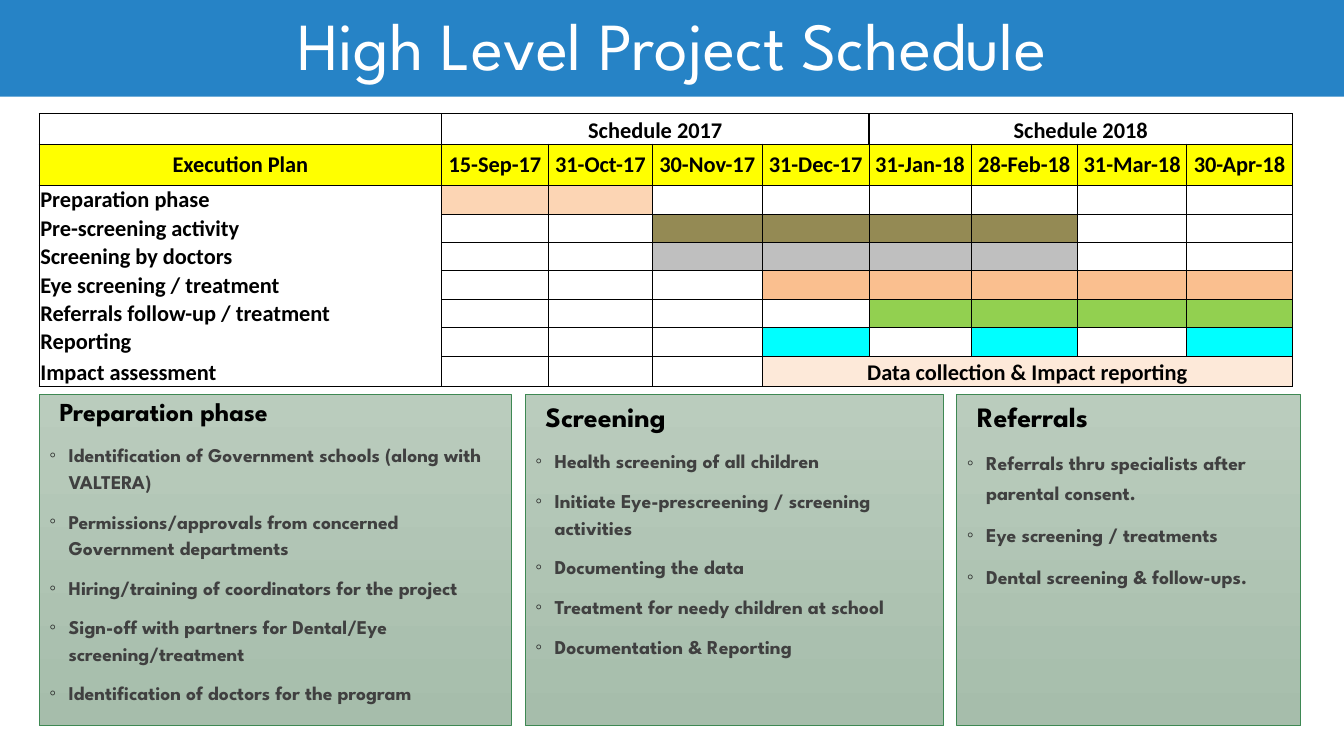
import pptx
import pptx.util
import pptx.dml.color
import pptx.enum.text
import pptx.oxml.ns
from lxml import etree

Inches = pptx.util.Inches
Pt = pptx.util.Pt
Align = pptx.enum.text.PP_ALIGN
Anchor = pptx.enum.text.MSO_ANCHOR
no_autofit = pptx.enum.text.MSO_AUTO_SIZE.NONE
qn = pptx.oxml.ns.qn


def color(value):
    return pptx.dml.color.RGBColor.from_string(value)


def write(paragraph, text, font_format, color_value, paragraph_format):
    for name, value in paragraph_format.items():
        setattr(paragraph, name, value)
    run = paragraph.add_run()
    run.text = text
    for name, value in font_format.items():
        setattr(run.font, name, value)
    run.font.color.rgb = color(color_value)


presentation = pptx.Presentation()
presentation.slide_width = Inches(13.33)
presentation.slide_height = Inches(7.5)
slide = presentation.slides.add_slide(presentation.slide_layouts[4])

title, *bodies = slide.placeholders
spare = bodies.pop()
spare.element.getparent().remove(spare.element)

title_box = {"left": 0, "top": 0, "width": Inches(13.33), "height": Inches(0.96)}
for name, value in title_box.items():
    setattr(title, name, value)
title.fill.solid()
title.fill.fore_color.rgb = color("2683C6")
title.text_frame.auto_size = no_autofit
title.text_frame.vertical_anchor = Anchor.MIDDLE
write(title.text_frame.paragraphs[0], "High Level Project Schedule",
      {"name": "League Spartan", "size": Pt(48), "bold": False}, "FFFFFF",
      {"alignment": Align.CENTER, "line_spacing": 0.9})

panels = [
    (0.39, 4.68, "Preparation phase", 18.5, 0.9, 13.9, 1.15, [
        "Identification of Government schools (along with VALTERA)",
        "Permissions/approvals from concerned Government departments",
        "Hiring/training of coordinators for the project",
        "Sign-off with partners for Dental/Eye screening/treatment",
        "Identification of doctors for the program"]),
    (5.21, 4.15, "Screening", 20, 1.0, 14, 1.15, [
        "Health screening of all children",
        "Initiate Eye-prescreening / screening activities",
        "Documenting the data",
        "Treatment for needy children at school",
        "Documentation & Reporting"]),
    (9.49, 3.41, "Referrals", 20, 1.0, 14, 1.25, [
        "Referrals thru specialists after parental consent.",
        "Eye screening / treatments",
        "Dental screening & follow-ups."]),
]
for body, panel in zip(bodies, panels):
    left, width, heading, heading_size, heading_spacing, item_size, item_spacing, items = panel
    panel_box = {"left": Inches(left), "top": Inches(3.91),
                 "width": Inches(width), "height": Inches(3.29)}
    for name, value in panel_box.items():
        setattr(body, name, value)
    body.fill.gradient()
    body.fill.gradient_angle = 270
    for stop, value in zip(body.fill.gradient_stops, ["BACCBD", "A6BDAB"]):
        stop.color.rgb = color(value)
    body.line.color.rgb = color("3E8853")
    body.line.width = Pt(0.5)
    frame = body.text_frame
    frame.auto_size = no_autofit
    frame.vertical_anchor = Anchor.TOP

    paragraph = frame.paragraphs[0]
    properties = paragraph._p.get_or_add_pPr()
    properties.set("marL", str(Inches(0.1)))
    properties.set("indent", "0")
    etree.SubElement(properties, qn("a:buNone"))
    write(paragraph, heading,
          {"name": "League Spartan", "size": Pt(heading_size), "bold": True}, "000000",
          {"alignment": Align.JUSTIFY, "line_spacing": heading_spacing, "space_before": Pt(0)})

    for item in items:
        paragraph = frame.add_paragraph()
        properties = paragraph._p.get_or_add_pPr()
        properties.set("marL", str(Inches(0.19)))
        properties.set("indent", str(-Inches(0.19)))
        bullet_color = etree.SubElement(properties, qn("a:buClr"))
        etree.SubElement(bullet_color, qn("a:srgbClr"), val="262626")
        etree.SubElement(properties, qn("a:buChar"), char="◦")
        write(paragraph, item,
              {"name": "League Spartan", "size": Pt(item_size), "bold": True}, "404040",
              {"alignment": Align.LEFT, "line_spacing": item_spacing, "space_before": Pt(9)})

column_widths = [3.99, 1.06, 1.03, 1.09, 1.06, 1.01, 1.06, 1.08, 1.05]
row_heights = [0.3, 0.41] + [0.28] * 6 + [0.3]
last_row, last_column = len(row_heights) - 1, len(column_widths) - 1
table = slide.shapes.add_table(
    len(row_heights), len(column_widths), Inches(0.39), Inches(1.13),
    Inches(sum(column_widths)), Inches(sum(row_heights))).table
table.first_row = False
table.horz_banding = False
for column, width in zip(table.columns, column_widths):
    column.width = Inches(width)
for row, height in zip(table.rows, row_heights):
    row.height = Inches(height)

header = ["Execution Plan", "15-Sep-17", "31-Oct-17", "30-Nov-17", "31-Dec-17",
          "31-Jan-18", "28-Feb-18", "31-Mar-18", "30-Apr-18"]
phases = [
    ("Preparation phase", "FCD5B4", [1, 2]),
    ("Pre-screening activity", "948A54", [3, 4, 5, 6]),
    ("Screening by doctors", "BFBFBF", [3, 4, 5, 6]),
    ("Eye screening / treatment", "FABF8F", [4, 5, 6, 7, 8]),
    ("Referrals follow-up / treatment", "92D050", [5, 6, 7, 8]),
    ("Reporting", "00FFFF", [4, 6, 8]),
    ("Impact assessment", "FDE9D9", [4, 5, 6, 7, 8]),
]
texts = {(0, 1): "Schedule 2017", (0, 5): "Schedule 2018",
         (last_row, 4): "Data collection & Impact reporting"}
fills = {}
for column, text in enumerate(header):
    texts[1, column] = text
    fills[1, column] = "FFFF00"
for row, (phase, fill, active_columns) in enumerate(phases, 2):
    texts[row, 0] = phase
    for column in active_columns:
        fills[row, column] = fill

span_ends = {(0, 1): 4, (0, 5): 8, (last_row, 4): 8}
for (row, column), end in span_ends.items():
    table.cell(row, column).merge(table.cell(row, end))

cell_format = {"margin_left": Inches(0.01), "margin_top": Inches(0.01),
               "margin_right": Inches(0.01), "margin_bottom": 0}
for row in range(last_row + 1):
    for column in range(last_column + 1):
        cell = table.cell(row, column)
        for name, value in cell_format.items():
            setattr(cell, name, value)
        cell.vertical_anchor = Anchor.BOTTOM if row in (0, last_row) else Anchor.MIDDLE
        paragraph = cell.text_frame.paragraphs[0]
        if (row, column) in texts:
            centred = row < 2 or column > 0
            write(paragraph, texts[row, column],
                  {"name": "Calibri", "size": Pt(16), "bold": True}, "000000",
                  {"alignment": Align.CENTER if centred else Align.LEFT})
        else:
            paragraph._p.get_or_add_endParaRPr().set("sz", "1000")

        end = span_ends.get((row, column), column)
        label = column == 0 and row >= 2
        borders = {
            "a:lnL": 1 if row == 0 or column < 2 else 0.5,
            "a:lnR": 1 if row == 0 or end in (0, last_column) else 0.5,
            "a:lnT": 0 if label and row > 2 else 1 if row < 2 else 0.5,
            "a:lnB": 1 if row in (0, last_row) else 0 if label else 0.5,
        }
        cell_properties = cell._tc.get_or_add_tcPr()
        for tag, weight in borders.items():
            border = etree.SubElement(cell_properties, qn(tag), w=str(Pt(weight)))
            if weight:
                solid = etree.SubElement(border, qn("a:solidFill"))
                etree.SubElement(solid, qn("a:srgbClr"), val="000000")
            else:
                etree.SubElement(border, qn("a:noFill"))
        cell.fill.solid()
        cell.fill.fore_color.rgb = color(fills.get((row, column), "FFFFFF"))

presentation.save("out.pptx")
